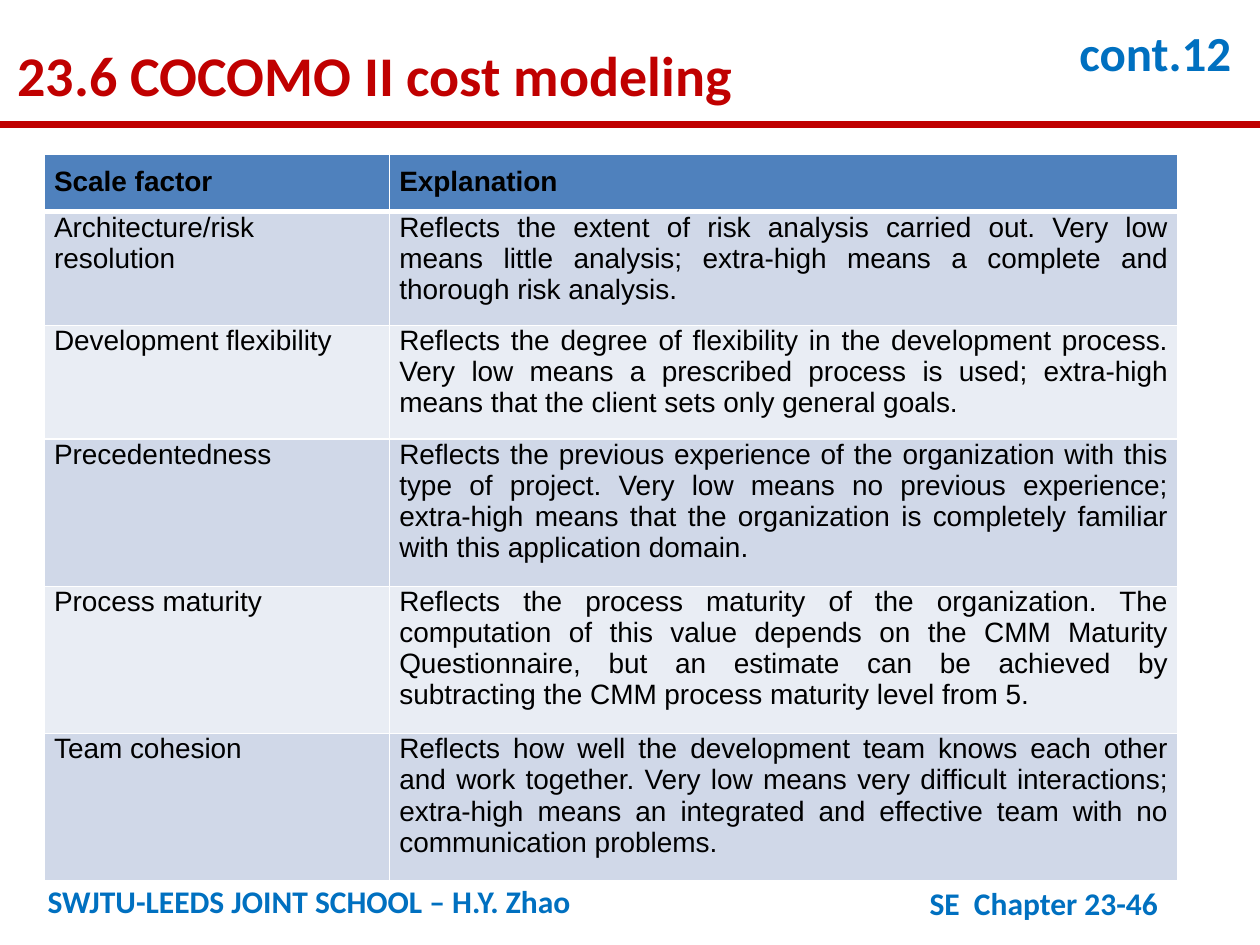
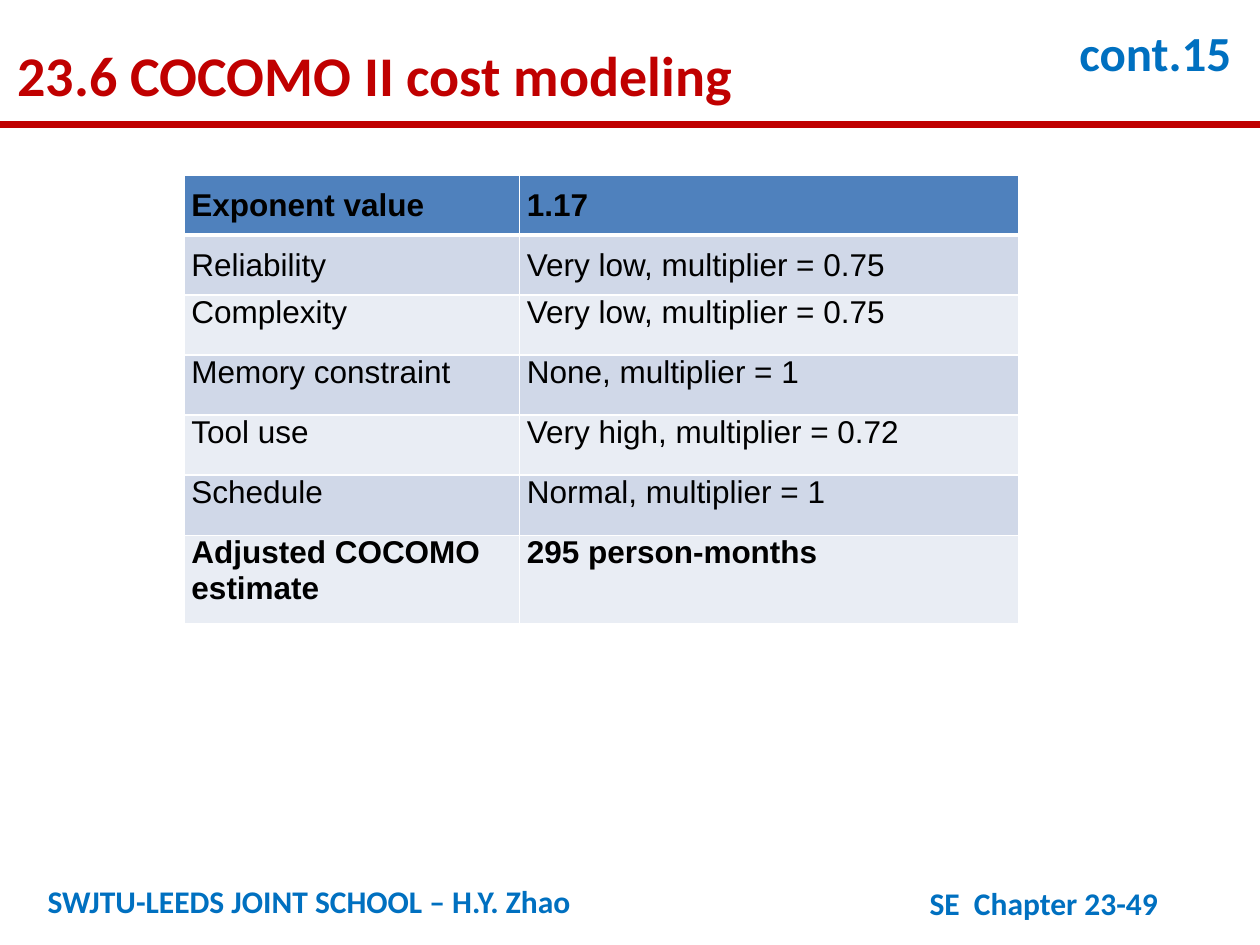
"""Build two COCOMO II cost modeling slides, each with a banded table."""
from dataclasses import dataclass

from lxml import etree
from pptx import Presentation
from pptx.dml.color import RGBColor
from pptx.enum.shapes import MSO_CONNECTOR
from pptx.enum.text import MSO_ANCHOR, MSO_AUTO_SIZE, PP_ALIGN
from pptx.oxml.ns import qn
from pptx.util import Cm, Pt

LEFT, JUSTIFY = PP_ALIGN.LEFT, PP_ALIGN.JUSTIFY
TOP = MSO_ANCHOR.TOP
NO_FIT = MSO_AUTO_SIZE.NONE
STRAIGHT = MSO_CONNECTOR.STRAIGHT
TITLE_ONLY = 5
WIDTH, HEIGHT = 25.4, 19.05


@dataclass(frozen=True)
class Theme:
    red: str = "C00000"
    blue: str = "0070C0"
    black: str = "000000"
    white: str = "FFFFFF"
    header: str = "4F81BD"
    bands: tuple = ("D0D8E8", "E9EDF4")
    heading_font: str = "Calibri"
    table_font: str = "Arial"
    title: int = 32
    counter: int = 28
    footer: int = 18
    rule: int = 4
    border: int = 1
    header_border: int = 3


@dataclass(frozen=True)
class TableStyle:
    size: int
    side: float
    bottom: float
    top: float = 0.25
    space_after: int = 0
    padded_rows: int = 1
    bold_rows: tuple = (0,)
    aligns: tuple = (JUSTIFY, JUSTIFY)


class Deck:
    def __init__(self, theme):
        self.theme = theme
        self.prs = Presentation()
        self.prs.slide_width, self.prs.slide_height = Cm(WIDTH), Cm(HEIGHT)
        self.slide = None

    def new_slide(self, title, counter, number):
        t = self.theme
        self.slide = self.prs.slides.add_slide(self.prs.slide_layouts[TITLE_ONLY])
        self.rule(2.51)
        self.text(f"SE  Chapter 23-{number}", (18.49, 17.7, 6.63, 1.02), t.footer)
        self.text("SWJTU-LEEDS JOINT SCHOOL – H.Y. Zhao", (0.71, 17.65, 16.03, 1.02), t.footer)
        self.title(title)
        self.text(f"cont.{counter}", (21.51, 0.53, 3.81, 1.27), t.counter, Pt(t.counter))

    def style_runs(self, p, font, size, color, bold):
        for r in p.runs:
            r.font.name, r.font.size, r.font.bold = font, Pt(size), bold
            r.font.color.rgb = RGBColor.from_string(color)

    def set_heading(self, sp, text, box, size, color, spacing):
        sp.left, sp.top, sp.width, sp.height = map(Cm, box)
        tf = sp.text_frame
        tf.text = text
        tf.word_wrap, tf.auto_size, tf.vertical_anchor = True, NO_FIT, TOP
        p = tf.paragraphs[0]
        p.alignment, p.line_spacing = LEFT, spacing
        self.style_runs(p, self.theme.heading_font, size, color, True)

    def title(self, text):
        t = self.theme
        sp = self.slide.shapes.title
        self.set_heading(sp, text, (0.1, 0.41, 21.41, 1.78), t.title, t.red, 1.2)

    def text(self, text, box, size, spacing=None):
        sp = self.slide.shapes.add_textbox(*map(Cm, box))
        self.set_heading(sp, text, box, size, self.theme.blue, spacing)

    def rule(self, y):
        line = self.slide.shapes.add_connector(STRAIGHT, 0, Cm(y), Cm(WIDTH), Cm(y))
        line.line.color.rgb = RGBColor.from_string(self.theme.red)
        line.line.width = Pt(self.theme.rule)
        etree.SubElement(line._element.spPr, qn("a:effectLst"))

    def borders(self, cell, row):
        t = self.theme
        tcPr = cell._tc.get_or_add_tcPr()
        for side in "LRTB":
            thick = (row, side) in ((0, "B"), (1, "T"))
            width = Pt(t.header_border if thick else t.border)
            ln = etree.SubElement(tcPr, qn(f"a:ln{side}"), w=str(width))
            fill = etree.SubElement(ln, qn("a:solidFill"))
            etree.SubElement(fill, qn("a:srgbClr"), val=t.white)

    def cell(self, cell, text, row, align, style):
        t = self.theme
        self.borders(cell, row)
        cell.fill.solid()
        fill = t.bands[(row - 1) % 2] if row else t.header
        cell.fill.fore_color.rgb = RGBColor.from_string(fill)
        cell.margin_left = cell.margin_right = Cm(style.side)
        cell.margin_top = Cm(style.top if row < style.padded_rows else 0)
        cell.margin_bottom = Cm(style.bottom)
        cell.vertical_anchor = TOP
        cell.text_frame.text = text
        p = cell.text_frame.paragraphs[0]
        p.alignment, p.space_after = align, Pt(style.space_after)
        self.style_runs(p, t.table_font, style.size, t.black, row in style.bold_rows)

    def table(self, rows, left, top, widths, heights, style):
        box = map(Cm, (left, top, sum(widths), sum(heights)))
        tbl = self.slide.shapes.add_table(len(rows), len(widths), *box).table
        for column, width in zip(tbl.columns, widths):
            column.width = Cm(width)
        for i, (row, height) in enumerate(zip(rows, heights)):
            tbl.rows[i].height = Cm(height)
            for j, text in enumerate(row):
                self.cell(tbl.cell(i, j), text, i, style.aligns[j], style)


SCALE_FACTORS = [
    ("Scale factor", "Explanation"),
    ("Architecture/risk resolution",
     "Reflects the extent of risk analysis carried out. Very low means little analysis; "
     "extra-high means a complete and thorough risk analysis."),
    ("Development flexibility",
     "Reflects the degree of flexibility in the development process. Very low means a "
     "prescribed process is used; extra-high means that the client sets only general goals."),
    ("Precedentedness",
     "Reflects the previous experience of the organization with this type of project. "
     "Very low means no previous experience; extra-high means that the organization is "
     "completely familiar with this application domain."),
    ("Process maturity",
     "Reflects the process maturity of the organization. The computation of this value "
     "depends on the CMM Maturity Questionnaire, but an estimate can be achieved by "
     "subtracting the CMM process maturity level from 5."),
    ("Team cohesion",
     "Reflects how well the development team knows each other and work together. Very low "
     "means very difficult interactions; extra-high means an integrated and effective team "
     "with no communication problems."),
]

COST_DRIVERS = [
    ("Exponent value", "1.17"),
    ("Reliability", "Very low, multiplier = 0.75"),
    ("Complexity", "Very low, multiplier = 0.75"),
    ("Memory constraint", "None, multiplier = 1"),
    ("Tool use", "Very high, multiplier = 0.72"),
    ("Schedule", "Normal, multiplier = 1"),
    ("Adjusted COCOMO estimate", "295 person-months"),
]


def main():
    deck = Deck(Theme())
    title = "23.6 COCOMO II cost modeling"

    deck.new_slide(title, 12, 46)
    deck.table(SCALE_FACTORS, 0.89, 3.1, (6.96, 15.9), [1.17] + [2.29] * 2 + [2.97] * 3,
               TableStyle(size=16, side=0.2, bottom=0.25))

    deck.new_slide(title, 15, 49)
    deck.table(COST_DRIVERS, 3.71, 3.53, (6.76, 10.06), [1.21] * 6 + [1.78],
               TableStyle(size=18, side=0.15, bottom=0, space_after=3, padded_rows=2,
                          bold_rows=(0, 6), aligns=(LEFT, JUSTIFY)))

    deck.prs.save("out.pptx")


if __name__ == "__main__":
    main()
